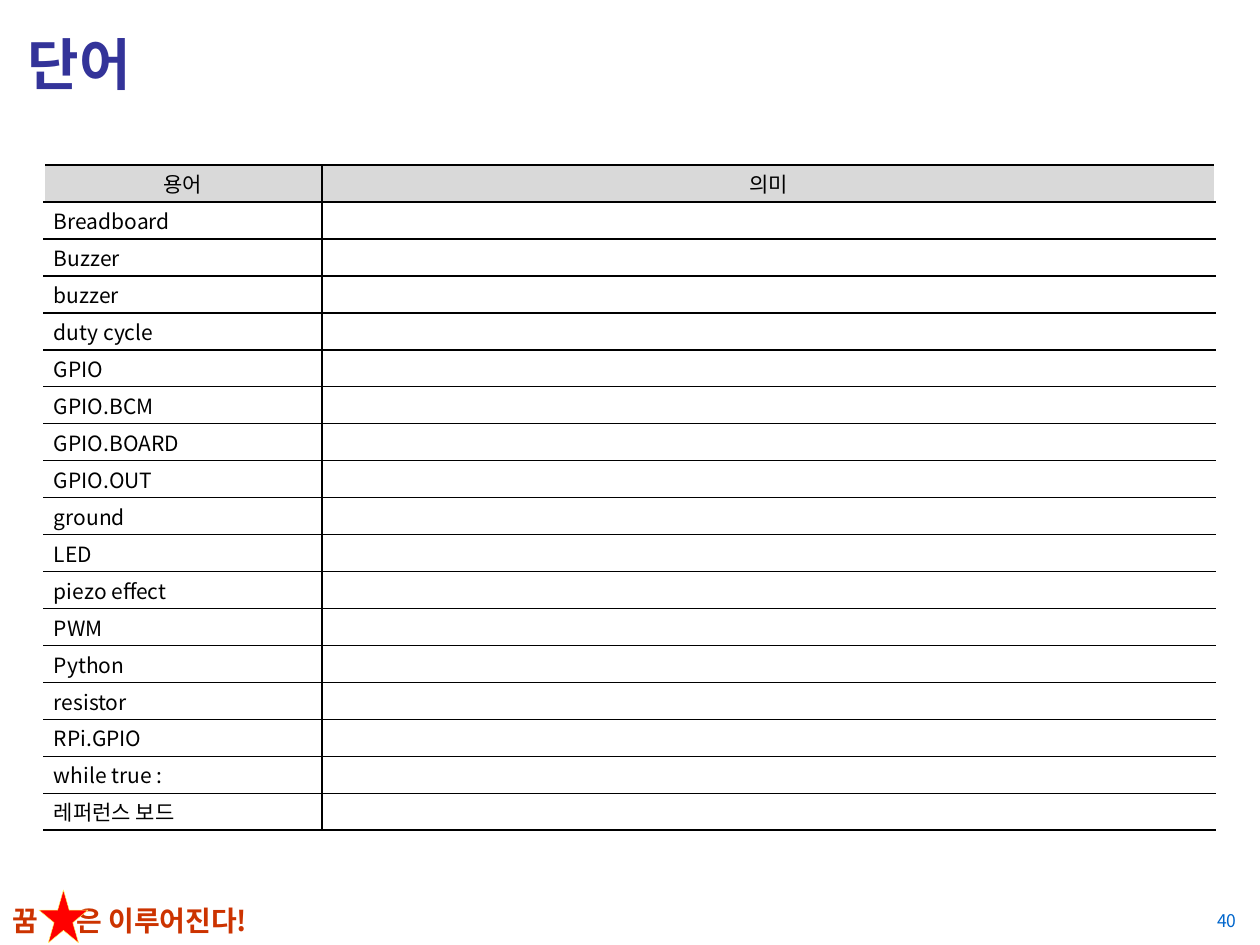
from dataclasses import dataclass
from lxml.etree import SubElement
from pptx import Presentation
from pptx.dml.color import RGBColor as RGB
from pptx.enum.shapes import MSO_SHAPE as SHAPE
from pptx.enum.text import MSO_ANCHOR as ANCHOR, PP_ALIGN as ALIGN
from pptx.oxml.ns import qn
from pptx.util import Emu, Pt

TITLE = "단어"
HEADERS = ("용어", "의미")
TERMS = [
    "Breadboard", "Buzzer", "buzzer", "duty cycle", "GPIO", "GPIO.BCM",
    "GPIO.BOARD", "GPIO.OUT", "ground", "LED", "piezo effect", "PWM",
    "Python", "resistor", "RPi.GPIO", "while true :", "레퍼런스 보드",
]
SLOGAN = "꿈\t은 이루어진다!"
PAGE = "40"


@dataclass(frozen=True)
class Theme:
    font: str = "Noto Sans CJK KR"
    title: str = "333399"
    slogan: str = "CC3300"
    page: str = "0066CC"
    ink: str = "000000"
    paper: str = "FFFFFF"
    header: str = "D9D9D9"
    star: str = "FF0000"
    star_line: str = "FFFF66"
    title_size: int = 32
    slogan_size: int = 16
    cell_size: int = 12
    page_size: int = 10


T = Theme()
SCALE = 914400 // 126
SLIDE = (1260, 945)
TITLE_BOX = (15, 8, 1230, 111)
TABLE_AT = (44, 165)
COLUMNS = (278, 893)
ROW = 37
SLOGAN_BOX = (0, 897, 312, 47)
SLOGAN_TAB = 64
STAR_BOX = (39, 890, 49, 53)
PAGE_BOX = (1176, 901, 73, 39)


def px(n):
    return Emu(n * SCALE)


def box(values):
    return [px(v) for v in values]


def apply(obj, **values):
    for name, value in values.items():
        setattr(obj, name, value)


def write(tf, text, size, color, bold=False, align=ALIGN.LEFT):
    p = tf.paragraphs[0]
    p.alignment = align
    if not text:
        SubElement(p._p, qn("a:endParaRPr"), sz=str(size * 100))
        return p
    r = p.add_run()
    r.text = text
    apply(r.font, name=T.font, size=Pt(size), bold=bold)
    r.font.color.rgb = RGB.from_string(color)
    SubElement(r._r.get_or_add_rPr(), qn("a:ea"), typeface=T.font)
    return p


def paint(fill, color):
    fill.solid()
    fill.fore_color.rgb = RGB.from_string(color)


def add_borders(cell, colors):
    tcPr = cell._tc.get_or_add_tcPr()
    for i, (side, color) in enumerate(colors.items()):
        ln = tcPr.makeelement(qn(f"a:ln{side}"), {"w": str(Pt(1))})
        fill = SubElement(ln, qn("a:solidFill"))
        SubElement(fill, qn("a:srgbClr"), val=color)
        tcPr.insert(i, ln)


def add_glossary(s):
    rows = [HEADERS] + [(term, "") for term in TERMS]
    frame = s.shapes.add_table(
        len(rows), len(COLUMNS), *box(TABLE_AT),
        px(sum(COLUMNS)), px(ROW * len(rows)))
    table = frame.table
    for column, width in zip(table.columns, COLUMNS):
        column.width = px(width)
    for i, texts in enumerate(rows):
        table.rows[i].height = px(ROW)
        for j, text in enumerate(texts):
            cell = table.cell(i, j)
            apply(cell, vertical_anchor=ANCHOR.MIDDLE, margin_left=px(10),
                  margin_right=px(10), margin_top=0, margin_bottom=0)
            write(cell.text_frame, text, T.cell_size, T.ink,
                  align=ALIGN.LEFT if i else ALIGN.CENTER)
            paint(cell.fill, T.paper if i else T.header)
            add_borders(cell, {
                "L": T.ink if j else T.paper,
                "R": T.paper if j else T.ink,
                "T": T.ink, "B": T.ink})


def add_footer(s):
    tf = s.shapes.add_textbox(*box(SLOGAN_BOX)).text_frame
    tf.word_wrap = True
    p = write(tf, SLOGAN, T.slogan_size, T.slogan, bold=True)
    tabs = SubElement(p._p.get_or_add_pPr(), qn("a:tabLst"))
    SubElement(tabs, qn("a:tab"), pos=str(px(SLOGAN_TAB)), algn="l")

    star = s.shapes.add_shape(SHAPE.STAR_5_POINT, *box(STAR_BOX))
    star.shadow.inherit = False
    paint(star.fill, T.star)
    paint(star.line.fill, T.star_line)
    star.line.width = Pt(0.25)

    tf = s.shapes.add_textbox(*box(PAGE_BOX)).text_frame
    apply(tf, word_wrap=True, vertical_anchor=ANCHOR.MIDDLE)
    write(tf, PAGE, T.page_size, T.page, align=ALIGN.RIGHT)


def main():
    prs = Presentation()
    prs.slide_width, prs.slide_height = box(SLIDE)
    s = prs.slides.add_slide(prs.slide_layouts[5])
    paint(s.background.fill, T.paper)
    title = s.shapes.title
    apply(title, **dict(zip(("left", "top", "width", "height"), box(TITLE_BOX))))
    title.text_frame.vertical_anchor = ANCHOR.MIDDLE
    write(title.text_frame, TITLE, T.title_size, T.title, bold=True)
    add_footer(s)
    add_glossary(s)
    prs.save("out.pptx")


if __name__ == "__main__":
    main()
